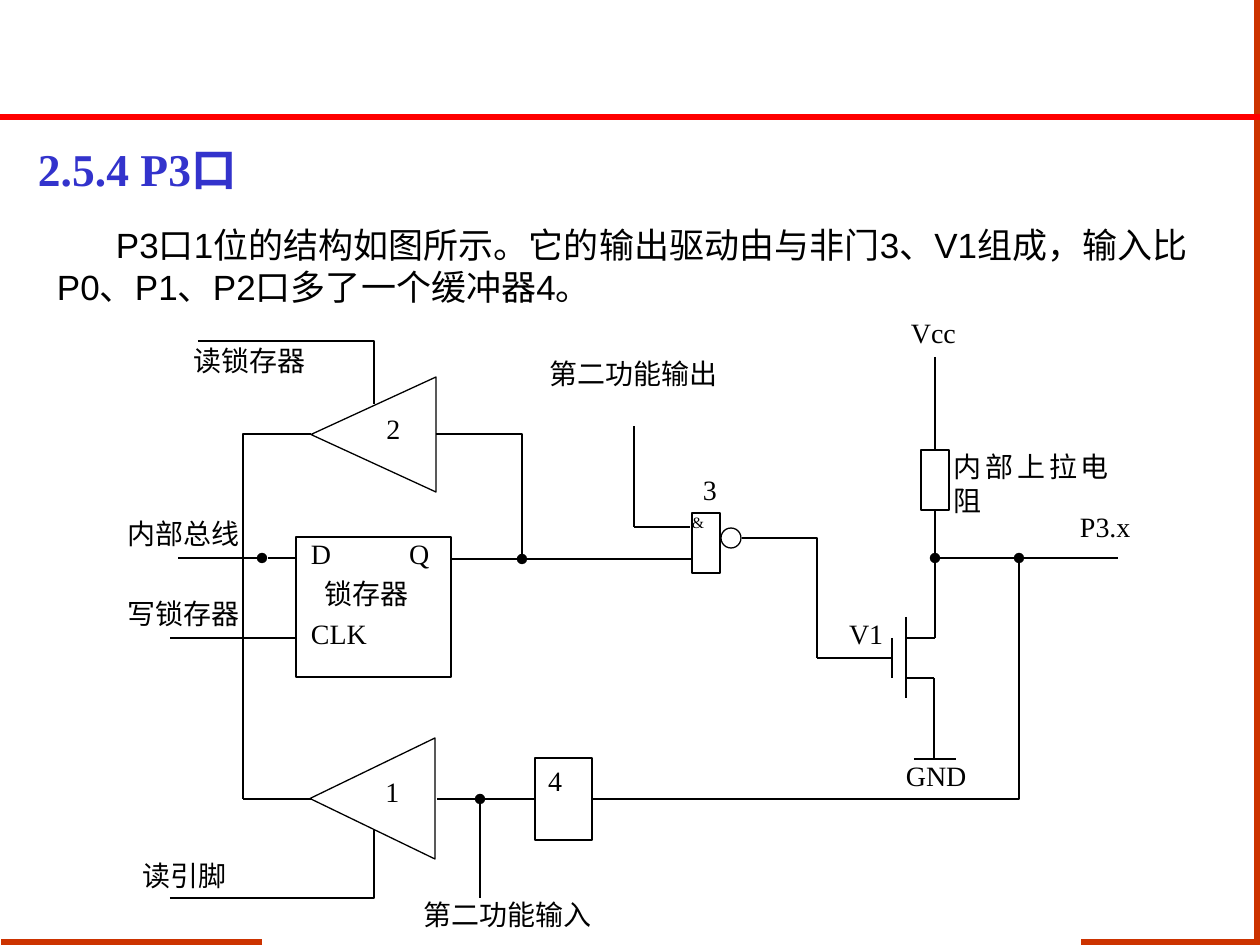
from lxml import etree
from pptx import Presentation
from pptx import util as u
from pptx.dml import color
from pptx.enum import shapes, text
from pptx.oxml import ns

EMU_PER_PX = 914400 / 126
BLACK, WHITE, BLUE, RED, BRICK = "000000", "FFFFFF", "3333CC", "FF0000", "CC3300"
SERIF, SANS = "Times New Roman", "Arial"
RECT = shapes.MSO_SHAPE.RECTANGLE
TOP, LEFT, BOTTOM = 0, 1, 2

FRAME_LINES = [
    (262, 942, 1, 942, BRICK), (1257, 945, 1257, 0, BRICK),
    (1255, 942, 1081, 942, BRICK), (1260, 117, 0, 117, RED),
]
LABELS = [
    ("第二功能输入", 424, 898, 183), ("第二功能输出", 550, 357, 183),
    ("D", 311, 537, 43), ("Q", 409, 537, 42),
    ("CLK", 311, 617, 71), ("锁存器", 325, 577, 113),
    ("读锁存器", 194, 344, 113), ("写锁存器", 128, 597, 113),
    ("内部总线", 128, 517, 113), ("读引脚", 143, 859, 113),
    ("Vcc", 911, 316, 113), ("GND", 906, 759, 113),
    ("P3.x", 1080, 510, 57), ("V1", 849, 617, 43),
    ("内部上拉电阻", 954, 450, 155), ("3", 703, 473, 28),
]
WIRES = [
    (296, 558, 268, 558), (296, 638, 170, 638), (522, 559, 451, 559),
    (243, 799, 311, 799), (634, 527, 634, 426), (690, 527, 634, 527),
    (817, 658, 892, 658), (892, 638, 892, 678), (906, 617, 906, 698),
    (906, 678, 934, 678), (934, 678, 934, 759), (906, 638, 935, 638),
    (914, 759, 956, 759),
]
NODE_WIRES = [
    (262, 558, 178, 558), (522, 559, 691, 559), (935, 558, 1019, 558),
    (1019, 558, 1118, 558), (480, 799, 480, 898),
]
ELBOWS = [
    (198, 341, 374, 404), (170, 898, 374, 829), (311, 434, 243, 799),
    (436, 434, 522, 559), (592, 799, 1019, 558), (742, 538, 817, 658),
]


def px(*lengths):
    """Turn px lengths into EMU."""
    return [u.Emu(round(length * EMU_PER_PX)) for length in lengths]


def rgb(hex_code):
    """Turn a hex string into a colour."""
    return color.RGBColor.from_string(hex_code)


def apply(target, values):
    """Set each named attribute on the target."""
    for name, value in values.items():
        setattr(target, name, value)


def write(shape, words, size=16, font=SERIF, ink=BLACK, bold=False,
          insets=(0, 0), anchor=text.MSO_ANCHOR.TOP, align=text.PP_ALIGN.JUSTIFY):
    """Write one formatted paragraph in a shape and return it."""
    across, down = px(*insets)
    frame = shape.text_frame
    apply(frame, {"word_wrap": True, "vertical_anchor": anchor,
                  "margin_left": across, "margin_right": across,
                  "margin_top": down, "margin_bottom": down})
    paragraph = frame.paragraphs[0]
    paragraph.alignment = align
    run = paragraph.add_run()
    run.text = words
    apply(run.font, {"size": u.Pt(size), "name": font, "bold": bold})
    run.font.color.rgb = rgb(ink)
    return paragraph


def add_title(slide, words):
    """Place and format the section heading."""
    heading = slide.shapes.title
    apply(heading, dict(zip(("left", "top", "width", "height"), px(25, 135, 1211, 784))))
    paragraph = write(heading, words, 26, ink=BLUE, bold=True,
                      insets=(13, 6), align=text.PP_ALIGN.LEFT)
    paragraph.space_before = u.Pt(6.5)


def add_intro(slide, words):
    """Add the introduction with its first line indented."""
    intro = slide.shapes.add_textbox(*px(44, 217, 1191, 97))
    paragraph = write(intro, words, 20, SANS, insets=(13, 6),
                      anchor=text.MSO_ANCHOR.MIDDLE, align=text.PP_ALIGN.LEFT)
    paragraph._p.get_or_add_pPr().set("indent", str(px(59)[0]))


def add_label(slide, words, left, top, width):
    """Add a one-line circuit label."""
    write(slide.shapes.add_textbox(*px(left, top, width, 40)), words)


def add_part(slide, kind, *box):
    """Add a white circuit part with a thin black outline."""
    part = slide.shapes.add_shape(kind, *px(*box))
    part.shadow.inherit = False
    part.fill.solid()
    part.fill.fore_color.rgb = rgb(WHITE)
    part.line.color.rgb = rgb(BLACK)
    part.line.width = u.Pt(0.75)
    return part


def add_buffer(slide, number, *box):
    """Add a left-pointing buffer with an upright number."""
    buffer = add_part(slide, shapes.MSO_SHAPE.ISOSCELES_TRIANGLE, *box)
    buffer.rotation = 270
    write(buffer, number, insets=(6, 13))
    buffer.text_frame._txBody.bodyPr.set("vert", "eaVert")


def add_wire(slide, *ends, ink=BLACK, weight=0.75, node=False, elbow=False):
    """Add a wire, with a node at its start or one right-angle turn if asked."""
    wire = slide.shapes.add_connector(shapes.MSO_CONNECTOR.STRAIGHT, *px(*ends))
    wire.line.color.rgb = rgb(ink)
    wire.line.width = u.Pt(weight)
    properties = wire._element.spPr
    if node:
        etree.SubElement(properties.find(ns.qn("a:ln")), ns.qn("a:headEnd"), type="oval")
    if elbow:
        properties.find(ns.qn("a:prstGeom")).set("prst", "bentConnector2")
    etree.SubElement(properties, ns.qn("a:effectLst"))
    return wire


def add_circuit(slide):
    """Draw the parts and wires of one port bit."""
    add_buffer(slide, "2", 316, 372, 115, 125)
    add_buffer(slide, "1", 312, 736, 121, 125)
    add_part(slide, RECT, 296, 537, 155, 140)
    resistor = add_part(slide, RECT, 921, 450, 28, 60)
    nand_gate = add_part(slide, RECT, 692, 513, 28, 60)
    write(nand_gate, "&", 9)
    add_part(slide, shapes.MSO_SHAPE.FLOWCHART_CONNECTOR, 721, 528, 20, 20)
    input_buffer = add_part(slide, RECT, 535, 758, 57, 82)
    write(input_buffer, "4", insets=(13, 6))

    for ends in WIRES:
        add_wire(slide, *ends)
    for ends in NODE_WIRES:
        add_wire(slide, *ends, node=True)
    for ends in ELBOWS:
        add_wire(slide, *ends, elbow=True)
    add_wire(slide, 935, 357, 935, 450).end_connect(resistor, TOP)
    add_wire(slide, 935, 638, 935, 510).end_connect(resistor, BOTTOM)
    add_wire(slide, 437, 799, 535, 799).end_connect(input_buffer, LEFT)


def main():
    """Build and save the slide."""
    deck = Presentation()
    deck.slide_width, deck.slide_height = px(1260, 945)
    slide = deck.slides.add_slide(deck.slide_layouts[5])
    for *ends, ink in FRAME_LINES:
        add_wire(slide, *ends, ink=ink, weight=3)
    add_title(slide, "2.5.4 P3口")
    add_intro(slide, "P3口1位的结构如图所示。它的输出驱动由与非门3、V1组成，"
                     "输入比P0、P1、P2口多了一个缓冲器4。")
    add_circuit(slide)
    for label in LABELS:
        add_label(slide, *label)
    deck.save("out.pptx")


if __name__ == "__main__":
    main()
